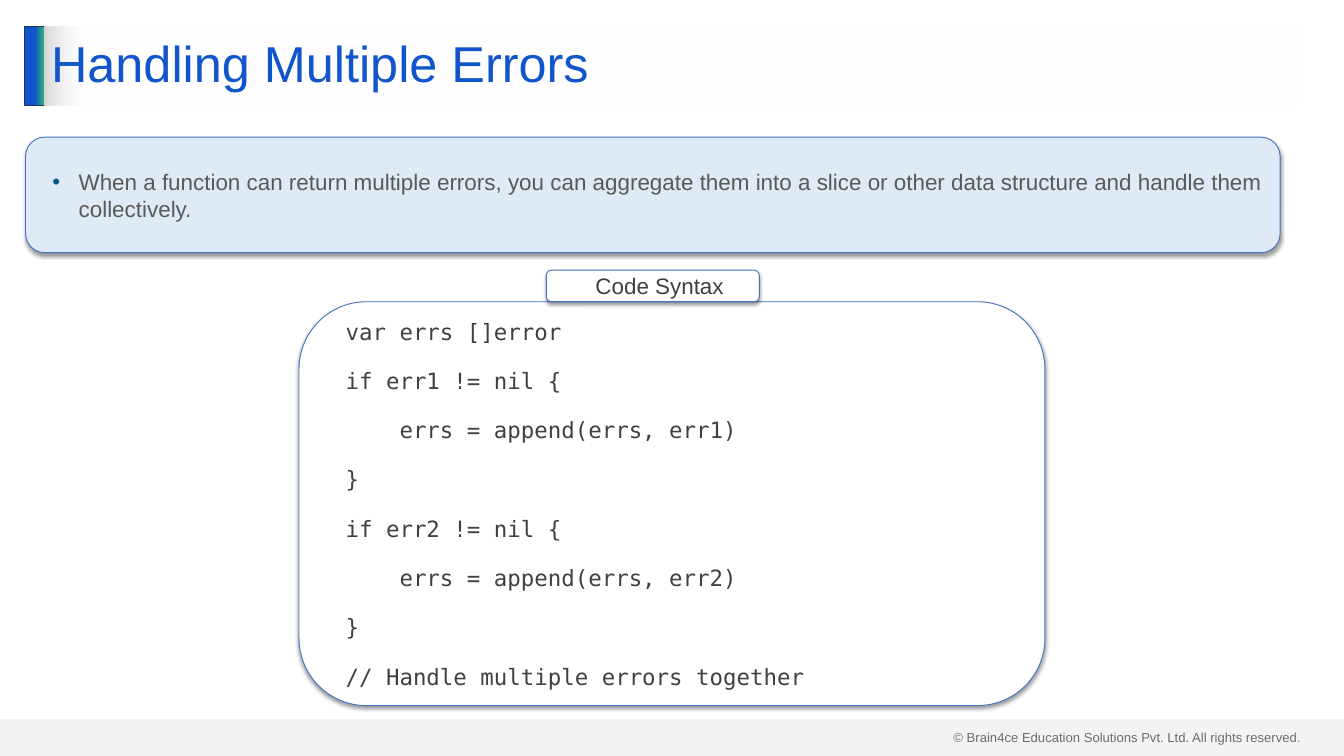
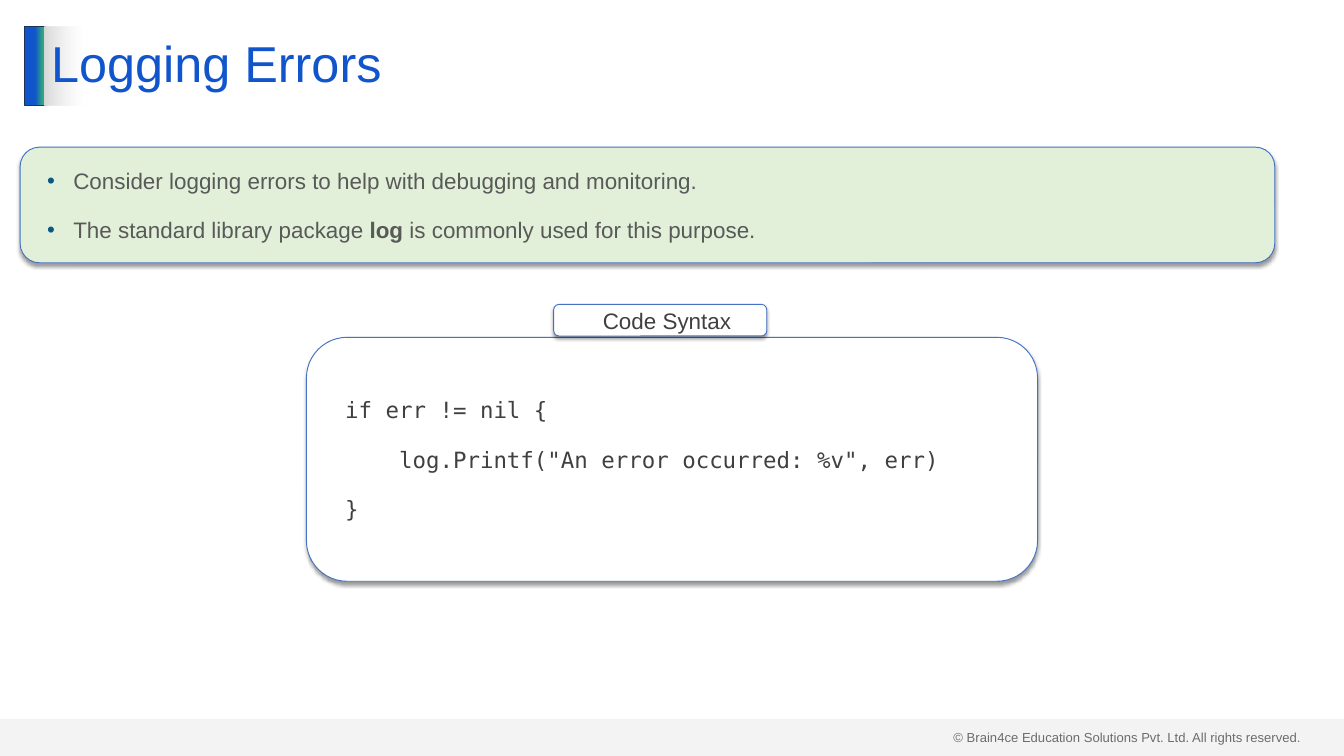
from lxml import etree
from pptx import Presentation
from pptx.dml.color import RGBColor
from pptx.enum.shapes import MSO_SHAPE
from pptx.enum.text import MSO_ANCHOR, MSO_AUTO_SIZE, PP_ALIGN
from pptx.oxml.ns import qn
from pptx.util import Inches, Pt

RECT, ROUND = MSO_SHAPE.RECTANGLE, MSO_SHAPE.ROUNDED_RECTANGLE
MIDDLE, FIXED = MSO_ANCHOR.MIDDLE, MSO_AUTO_SIZE.NONE
LEFT, CENTER = PP_ALIGN.LEFT, PP_ALIGN.CENTER

BLUE = RGBColor(0x11, 0x55, 0xCC)
GREEN = RGBColor(0x2E, 0xA8, 0x7D)
NAVY = RGBColor(0x1E, 0x32, 0x56)
EDGE = RGBColor(0x44, 0x72, 0xC4)
BULLET = RGBColor(0x09, 0x5A, 0x82)
DARK = RGBColor(0x40, 0x40, 0x40)
GRAY = RGBColor(0x59, 0x59, 0x59)
SILVER = RGBColor(0xD9, 0xD9, 0xD9)
WHITE = RGBColor(0xFF, 0xFF, 0xFF)
BLACK = RGBColor(0, 0, 0)
SKY = RGBColor(0xDE, 0xEB, 0xF7)
MINT = RGBColor(0xE2, 0xF0, 0xD9)

SANS, MONO = "Arial", "DejaVu Sans Mono"

ERRORS = """var errs []error
if err1 != nil {
    errs = append(errs, err1)
}
if err2 != nil {
    errs = append(errs, err2)
}
// Handle multiple errors together"""

LOGGING = """if err != nil {
    log.Printf("An error occurred: %v", err)
}"""


# Drawing helpers
def add_color(parent, color, alpha=100):
    node = etree.SubElement(parent, qn("a:srgbClr"), val=str(color))
    if alpha < 100:
        etree.SubElement(node, qn("a:alpha"), val=str(alpha * 1000))


def set_grad(shape, stops):
    shape.fill.gradient()
    shape.fill.gradient_angle = 0
    stop_list = next(shape.element.iter(qn("a:gsLst")))
    stop_list.clear()
    for pos, color, alpha in stops:
        stop = etree.SubElement(stop_list, qn("a:gs"), pos=str(pos * 1000))
        add_color(stop, color, alpha)


def place(shape, box):
    shape.left, shape.top, shape.width, shape.height = map(Inches, box)


def add_box(slide, kind, box, fill):
    shape = slide.shapes.add_shape(kind, *map(Inches, box))
    shape.shadow.inherit = False
    shape.fill.solid()
    shape.fill.fore_color.rgb = fill
    shape.line.fill.background()
    return shape


def add_panel(slide, box, fill):
    panel = add_box(slide, ROUND, box, fill)
    panel.line.color.rgb = EDGE
    panel.line.width = Pt(1)
    effects = next(panel.element.iter(qn("a:effectLst")))
    shadow = etree.SubElement(
        effects, qn("a:outerShdw"), blurRad=str(Pt(4)), dist=str(Pt(3)),
        dir="5400000", algn="t", rotWithShape="0")
    add_color(shadow, BLACK, 40)
    return panel


# Text helpers
def set_font(font, name, size, color):
    font.name, font.size, font.color.rgb = name, Pt(size), color


def add_bullet(para):
    props = para._p.get_or_add_pPr()
    add_color(etree.SubElement(props, qn("a:buClr")), BULLET)
    etree.SubElement(props, qn("a:buFont"), typeface=SANS)
    etree.SubElement(props, qn("a:buChar"), char="•")


def write(shape, lines, font, color, align=LEFT, bullet=False):
    """Fill a shape; each line is a list of parts, every second one bold."""
    frame = shape.text_frame
    frame.word_wrap, frame.auto_size = True, FIXED
    frame.vertical_anchor = MIDDLE
    frame.margin_left = frame.margin_right = Inches(0.2)
    frame.margin_top = frame.margin_bottom = Inches(0.1)
    for i, parts in enumerate(lines):
        para = frame.add_paragraph() if i else frame.paragraphs[0]
        para.alignment, para.level = align, 1
        para.space_before = Pt(12 if i else 0)
        para.space_after = Pt(12 if i < len(lines) - 1 else 0)
        props = para._p.get_or_add_pPr()
        props.set("marL", str(Inches(0.59 if bullet else 0.2)))
        props.set("indent", str(Inches(-0.39 if bullet else 0)))
        if bullet:
            add_bullet(para)
        for j, part in enumerate(parts):
            run = para.add_run()
            run.text = part
            set_font(run.font, font, 24, color)
            run.font.bold = j % 2 == 1


# Shared parts, moved from a slide to its layout
def add_frame(slide):
    note = slide.shapes.add_textbox(*map(Inches, (14.09, 10.8, 5.41, 0.34)))
    note.text_frame.text = ("© Brain4ce Education Solutions Pvt. Ltd. "
                            "All rights reserved.")
    set_font(note.text_frame.paragraphs[0].runs[0].font, SANS, 14, DARK)

    mark = add_box(slide, RECT, (0.37, 0.39, 0.3, 1.18), BLUE)
    set_grad(mark, [(51, BLUE, 100), (90, GREEN, 100), (100, GREEN, 100)])
    mark.line.color.rgb = NAVY
    mark.line.width = Pt(1)

    band = add_box(slide, RECT, (0, 10.7, 20, 0.55), SILVER)
    tint = next(band.element.iter(qn("a:srgbClr")))
    etree.SubElement(tint, qn("a:alpha"), val="29000")

    for part in (note, mark, band):
        slide.slide_layout.shapes.element.append(part.element)


# Slide regions
def add_title(slide, text):
    title = slide.shapes.title
    place(title, (0.66, 0.39, 18.67, 1.18))
    set_grad(title, [(0, SILVER, 100), (3, WHITE, 50), (100, WHITE, 50)])
    frame = title.text_frame
    frame.text = text
    frame.word_wrap, frame.auto_size = True, FIXED
    frame.vertical_anchor = MIDDLE
    para = frame.paragraphs[0]
    para.alignment, para.line_spacing = LEFT, 0.9
    set_font(para.runs[0].font, SANS, 54, BLUE)


def add_list(slide, left, top, fill, lines):
    box = (left, top, 18.67, 1.72)
    panel = add_panel(slide, box, fill)
    body = slide.placeholders[1]
    place(body, box)
    panel.element.addnext(body.element)
    write(body, lines, SANS, GRAY, bullet=True)


def add_code(slide, box, tab, code):
    """Draw the code panel; tab is the label's offset from its corner."""
    panel = add_panel(slide, box, WHITE)
    write(panel, [[line] for line in code.split("\n")], MONO, DARK)
    left, top = box[0] + tab[0], box[1] + tab[1]
    label = add_panel(slide, (left, top, 3.17, 0.47), WHITE)
    write(label, [["Code Syntax"]], SANS, DARK, CENTER)


def main():
    deck = Presentation()
    deck.slide_width, deck.slide_height = Inches(20), Inches(11.25)
    layout = deck.slide_layouts[1]

    # Multiple errors
    slide = deck.slides.add_slide(layout)
    add_frame(slide)
    add_title(slide, "Handling Multiple Errors")
    add_list(slide, 0.38, 2.04, SKY, [[
        "When a function can return multiple errors, you can aggregate them "
        "into a slice or other data structure and handle them collectively."]])
    add_code(slide, (4.45, 4.49, 11.1, 6.01), (3.68, -0.47), ERRORS)

    # Logging
    slide = deck.slides.add_slide(layout)
    add_title(slide, "Logging Errors")
    add_list(slide, 0.3, 2.19, MINT, [
        ["Consider logging errors to help with debugging and monitoring."],
        ["The standard library package ", "log ",
         "is commonly used for this purpose."]])
    add_code(slide, (4.56, 5.02, 10.88, 3.63), (3.68, -0.49), LOGGING)

    deck.save("out.pptx")


if __name__ == "__main__":
    main()
